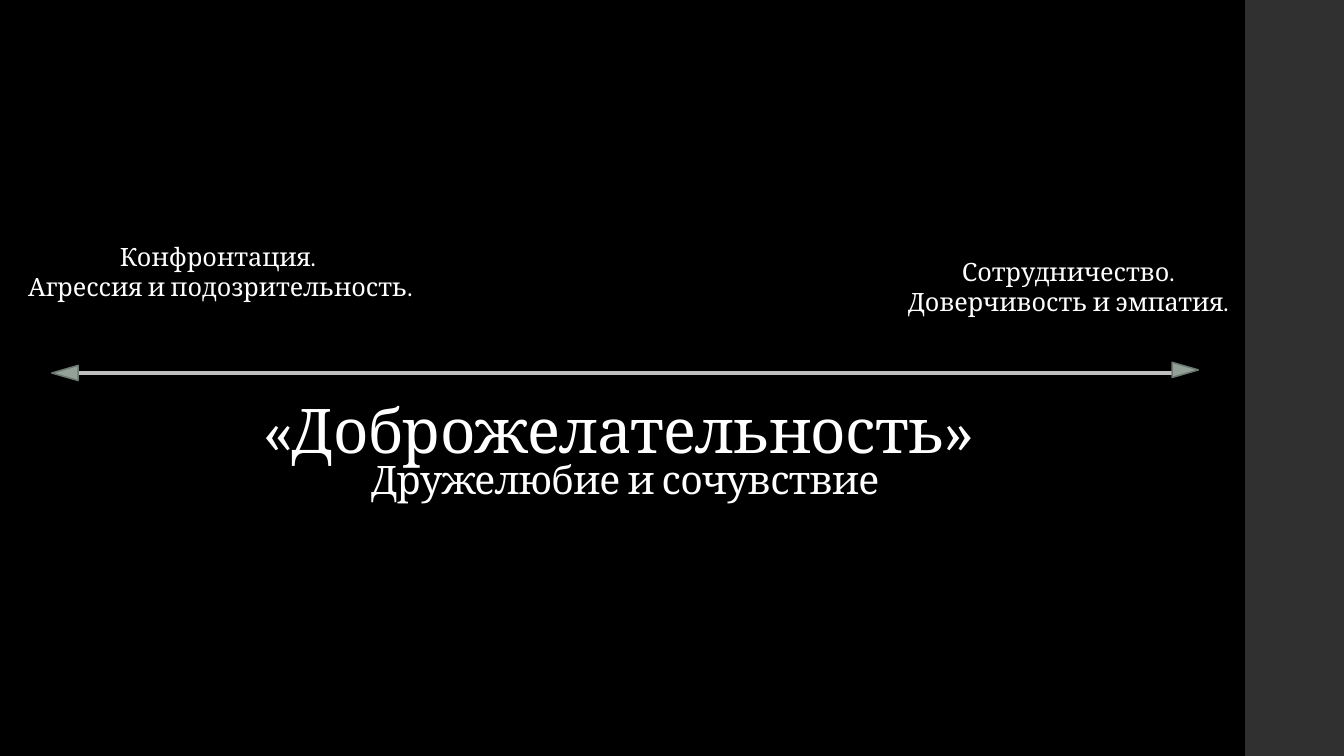
from dataclasses import dataclass

from lxml.etree import SubElement
from pptx import Presentation
from pptx.dml.color import RGBColor
from pptx.enum.shapes import MSO_CONNECTOR, MSO_SHAPE
from pptx.enum.text import MSO_ANCHOR, MSO_AUTO_SIZE, PP_ALIGN
from pptx.oxml.ns import qn
from pptx.util import Inches, Pt

COLORS = {
    "background": "000000",
    "side_band": "303030",
    "text": "FFFFFF",
    "axis": "BFBFBF",
    "arrow": "93A299",
    "arrow_edge": "6D7871",
}
FONT = "Cambria"


@dataclass
class Pole:
    left: float
    top: float
    width: float
    lines: list[str]
    arrow_left: float
    arrow_top: float
    rotation: int


POLES = [
    Pole(8.7, 2.49, 3.79, ["Сотрудничество.", "Доверчивость и эмпатия."], 11.68, 3.54, 90),
    Pole(0.17, 2.34, 4.03, ["Конфронтация. ", "Агрессия и подозрительность."], 0.57, 3.57, 270),
]


def color(name: str) -> RGBColor:
    return RGBColor.from_string(COLORS[name])


def add_line(paragraph, text: str, size: float) -> None:
    paragraph.alignment = PP_ALIGN.CENTER
    run = paragraph.add_run()
    run.text = text
    run.font.size = Pt(size)
    run.font.name = FONT
    run.font.color.rgb = color("text")


def write_heading(shape, top: float, text: str, size: float) -> None:
    shape.left, shape.top = Inches(0.9), Inches(top)
    shape.width, shape.height = Inches(10.6), Inches(1.11)
    frame = shape.text_frame
    frame.word_wrap = True
    frame.auto_size = MSO_AUTO_SIZE.NONE
    frame.vertical_anchor = MSO_ANCHOR.BOTTOM
    paragraph = frame.paragraphs[0]
    paragraph.line_spacing = 0.9
    add_line(paragraph, text, size)
    # Slightly tightened letter spacing
    paragraph.runs[0]._r.get_or_add_rPr().set("spc", "-50")


def add_pole(slide, pole: Pole) -> None:
    label = slide.shapes.add_textbox(
        Inches(pole.left), Inches(pole.top), Inches(pole.width), Inches(0.71))
    frame = label.text_frame
    frame.word_wrap = True
    frame.auto_size = MSO_AUTO_SIZE.SHAPE_TO_FIT_TEXT
    for index, line in enumerate(pole.lines):
        paragraph = frame.add_paragraph() if index else frame.paragraphs[0]
        add_line(paragraph, line, 18)

    arrow = slide.shapes.add_shape(
        MSO_SHAPE.ISOSCELES_TRIANGLE, Inches(pole.arrow_left),
        Inches(pole.arrow_top), Inches(0.15), Inches(0.26))
    arrow.rotation = pole.rotation
    arrow.shadow.inherit = False
    arrow.fill.solid()
    arrow.fill.fore_color.rgb = color("arrow")
    arrow.line.color.rgb = color("arrow_edge")
    arrow.line.width = Pt(1.1)


def main() -> None:
    prs = Presentation()
    prs.slide_width, prs.slide_height = Inches(13.33), Inches(7.5)
    slide = prs.slides.add_slide(prs.slide_layouts[5])
    slide.background.fill.solid()
    slide.background.fill.fore_color.rgb = color("background")

    # Side band
    band = slide.shapes.add_shape(
        MSO_SHAPE.RECTANGLE, Inches(12.35), 0, Inches(0.98), Inches(7.5))
    band.shadow.inherit = False
    band.fill.solid()
    band.fill.fore_color.rgb = color("side_band")
    band.line.fill.background()

    # Title and subtitle
    write_heading(slide.shapes.title, 3.57, "«Доброжелательность» ", 44)
    subtitle = slide.shapes.add_textbox(0, 0, 0, 0)
    write_heading(subtitle, 3.93, "Дружелюбие и сочувствие", 28)

    # Axis between the two poles
    axis = slide.shapes.add_connector(
        MSO_CONNECTOR.STRAIGHT, Inches(0.65), Inches(3.7), Inches(11.68), Inches(3.7))
    axis.line.color.rgb = color("axis")
    axis.line.width = Pt(3)
    SubElement(axis._element.spPr, qn("a:effectLst"))

    # Poles with their arrowheads
    for pole in POLES:
        add_pole(slide, pole)

    prs.save("out.pptx")


if __name__ == "__main__":
    main()
